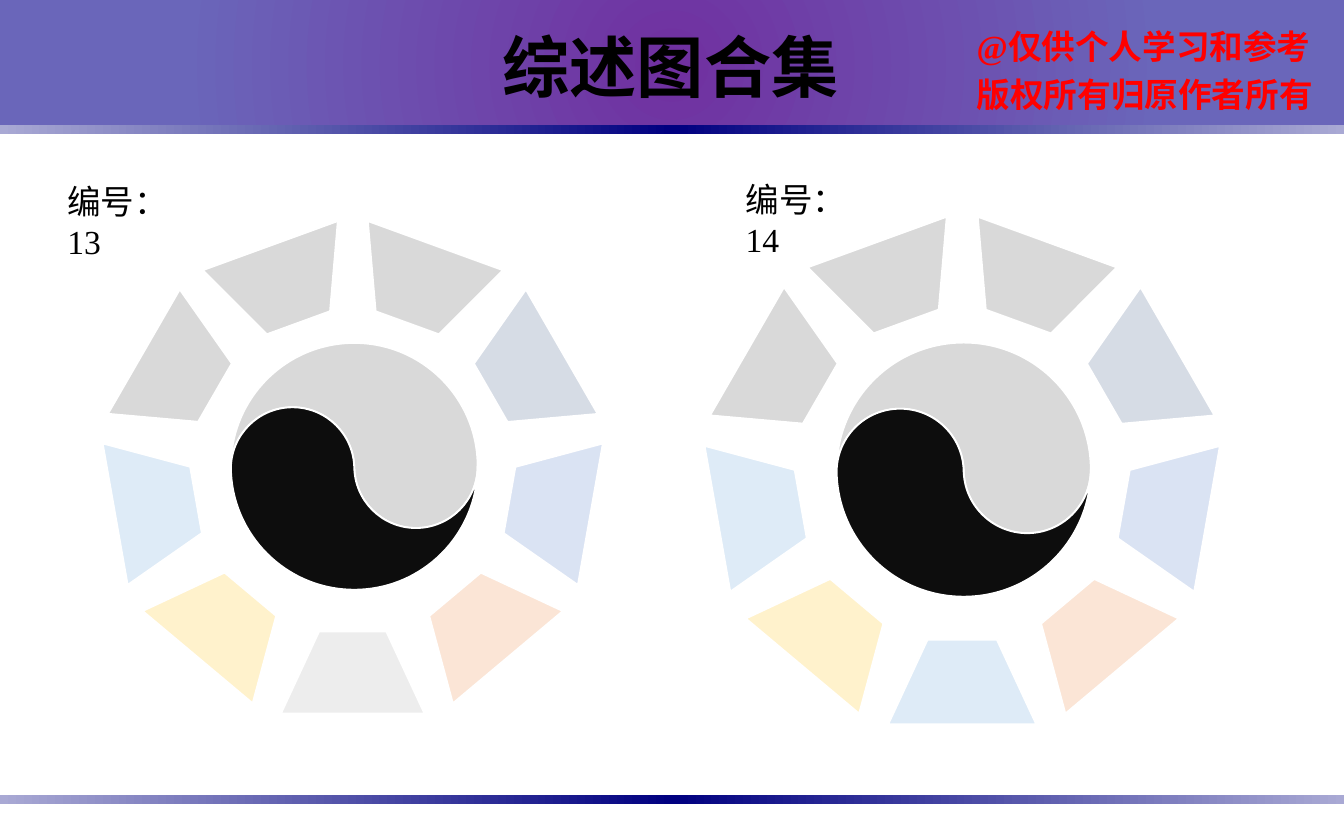
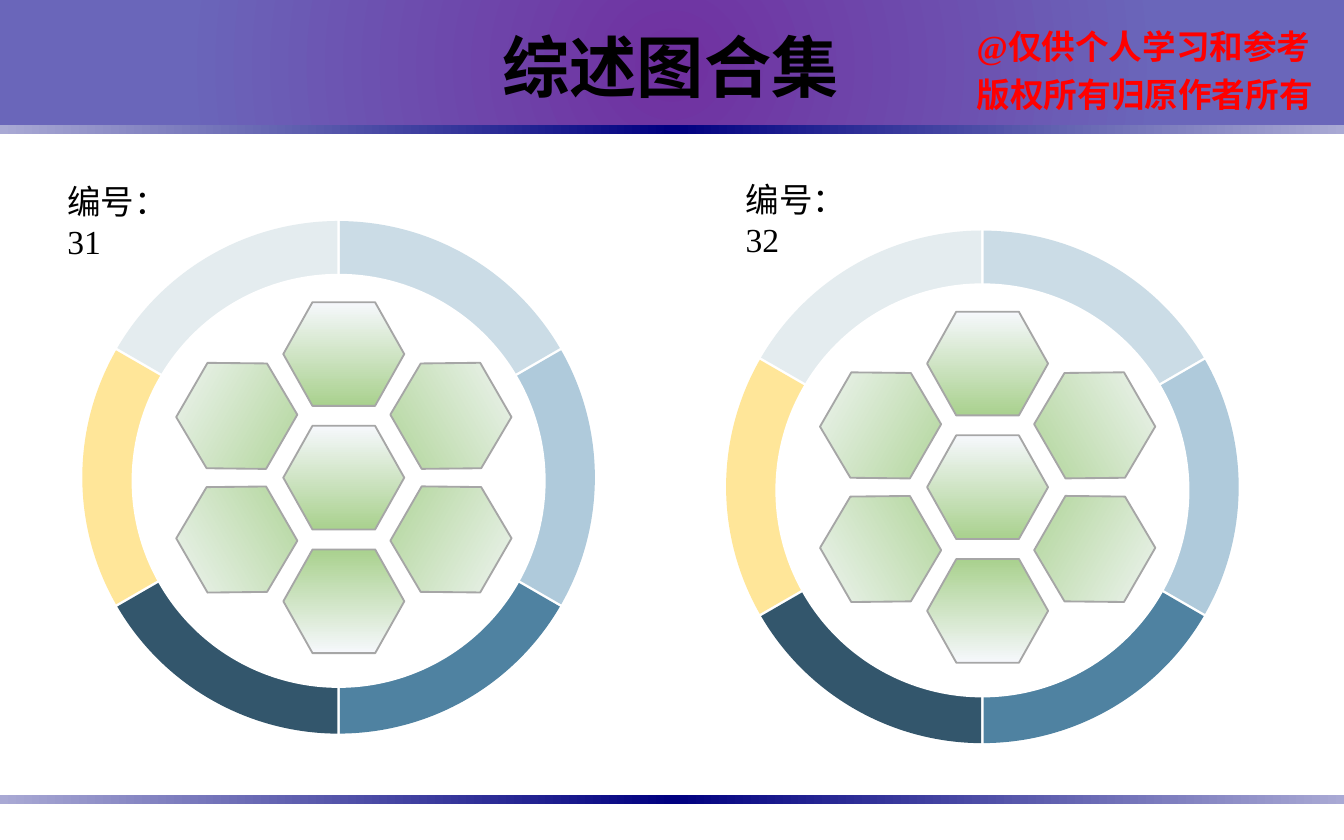
from dataclasses import dataclass
from math import asin, cos, degrees, dist, radians, sin, tan

from pptx import Presentation
from pptx.dml.color import RGBColor
from pptx.enum.shapes import MSO_SHAPE as Shape
from pptx.enum.text import MSO_ANCHOR as Anchor, MSO_AUTO_SIZE as AutoSize, PP_ALIGN as Align
from pptx.oxml import parse_xml
from pptx.oxml.ns import nsdecls, qn
from pptx.util import Pt

Point = tuple[float, float]
Stops = list[tuple[int, str]]

TITLE = "综述图合集"
NOTICE = ("@仅供个人学习和参考", "版权所有归原作者所有")
BLACK, WHITE, RED = "000000", "FFFFFF", "FF0000"
SERIF, SANS = "Times New Roman", "Arial"

HEADER_STOPS = [(0, "7030A0"), (73, "6A66BA")]
STRIP_STOPS = [(0, "A9A9D4"), (50, "000080"), (100, "A9A9D4")]
HEX_STOPS = [(0, "F6F8FC"), (100, "A9D18E")]
LINEAR = '<a:lin ang="{}" scaled="0"/>'
CIRCLE = ('<a:path path="circle"><a:fillToRect l="50000" t="50000" '
          'r="50000" b="50000"/></a:path>')

PETAL_COLOURS = ["FFF2CC", "DEEBF7", "D9D9D9", "D9D9D9", "D9D9D9",
                 "D6DCE5", "DAE3F3", "FBE5D6"]
RING_COLOURS = ["CBDCE6", "AFCADB", "4F82A1", "33566C", "FFE699", "E4ECEF"]


@dataclass
class Label:
    number: int
    left: float
    top: float


@dataclass
class PetalWheel:
    label: Label
    cx: float
    cy: float
    scale: float
    bottom_colour: str


@dataclass
class HexRing:
    label: Label
    cx: float
    cy: float


LEFT_AT, RIGHT_AT = (29, 93.5), (392.4, 92.2)
WHEELS = [PetalWheel(Label(13, *LEFT_AT), 189, 253.05, 1, "EDEDED"),
          PetalWheel(Label(14, *RIGHT_AT), 515.5, 254.8, 1.03, "DEEBF7")]
RINGS = [HexRing(Label(31, *LEFT_AT), 181.4, 255.7),
         HexRing(Label(32, *RIGHT_AT), 526.3, 260.8)]


def rgb(colour: str) -> RGBColor:
    return RGBColor.from_string(colour)


def polar(cx: float, cy: float, radius: float, angle: float) -> Point:
    """Point at an angle in degrees, clockwise from the top."""
    a = radians(angle)
    return cx + radius * sin(a), cy - radius * cos(a)


def arc(cx: float, cy: float, radius: float, start: float, end: float) -> list[Point]:
    """Start point, then two handles and an end point per Bezier piece."""
    low, high = min(start, end), max(start, end)
    cuts = [low, *(a for a in range(-360, 721, 90) if low < a < high), high]
    if end < start:
        cuts.reverse()
    points = [polar(cx, cy, radius, start)]
    for a, b in zip(cuts, cuts[1:]):
        reach = 4 / 3 * tan(radians(b - a) / 4) * radius
        x, y = points[-1]
        end_x, end_y = polar(cx, cy, radius, b)
        a, b = radians(a), radians(b)
        points += [(x + reach * cos(a), y + reach * sin(a)),
                   (end_x - reach * cos(b), end_y - reach * sin(b)),
                   (end_x, end_y)]
    return points


def paint(s, fill: str, line: str | None) -> None:
    s.shadow.inherit = False
    s.fill.solid()
    s.fill.fore_color.rgb = rgb(fill)
    if line:
        s.line.color.rgb = rgb(line)
        s.line.width = Pt(1)
    else:
        s.line.fill.background()


def paint_gradient(s, stops: Stops, direction: str) -> None:
    """Replace the solid fill of a painted shape by a gradient."""
    gs = "".join(f'<a:gs pos="{pos * 1000}"><a:srgbClr val="{c}"/></a:gs>'
                 for pos, c in stops)
    gradient = parse_xml(f'<a:gradFill {nsdecls("a")} rotWithShape="1">'
                         f'<a:gsLst>{gs}</a:gsLst>{direction}</a:gradFill>')
    sp_pr = s._element.spPr
    sp_pr.replace(sp_pr.find(qn("a:solidFill")), gradient)


def add_centred(shapes, kind: Shape, centre: Point, width: float, height: float,
                fill: str, line: str | None = None, rotation: float = 0):
    s = shapes.add_shape(kind, Pt(centre[0] - width / 2), Pt(centre[1] - height / 2),
                         Pt(width), Pt(height))
    s.rotation = rotation
    paint(s, fill, line)
    return s


def add_outline(shapes, arcs: list[list[Point]], fill: str, line: str | None = None):
    """Draw a closed shape from arcs, joined by straight lines where they part."""
    points, curve_starts = [], []
    for piece in arcs:
        if not points or dist(points[-1], piece[0]) > 0.01:
            points.append(piece[0])
        curve_starts += range(len(points), len(points) + len(piece) - 1, 3)
        points += piece[1:]
    corners = [(Pt(x), Pt(y)) for x, y in points]
    builder = shapes.build_freeform(*corners[0])
    builder.add_line_segments(corners[1:], close=True)
    s = builder.convert_to_shape()
    outline = s._element.spPr.find(".//" + qn("a:path"))
    steps = outline.findall(qn("a:lnTo"))
    for first in curve_starts:
        curve, *others = steps[first - 1:first + 2]
        curve.tag = qn("a:cubicBezTo")
        for step in others:
            curve.append(step[0])
            outline.remove(step)
    paint(s, fill, line)
    return s


def add_band(slide, top: float, height: float, stops: Stops, direction: str) -> None:
    s = add_centred(slide.shapes, Shape.RECTANGLE, (360, top + height / 2),
                    720, height, WHITE)
    paint_gradient(s, stops, direction)


def style(p, size: float, font: str, colour: str, bold: bool = False) -> None:
    p.font.size = Pt(size)
    p.font.name = font
    p.font.bold = bold
    p.font.color.rgb = rgb(colour)


def add_notice(slide) -> None:
    s = slide.shapes.add_textbox(Pt(516.2), Pt(5.8), Pt(198.7), Pt(56.9))
    tf = s.text_frame
    tf.word_wrap = False
    tf.text = "\n".join(NOTICE)
    for p in tf.paragraphs:
        p.line_spacing = 1.2
        style(p, 18, SERIF, RED, bold=True)
    tf.paragraphs[1].alignment = Align.CENTER


def add_label(slide, label: Label) -> None:
    s = slide.shapes.add_textbox(Pt(label.left), Pt(label.top), Pt(87), Pt(28.8))
    tf = s.text_frame
    tf.word_wrap = True
    tf.margin_right = Pt(14)
    p = tf.paragraphs[0]
    p.text = f"编号：{label.number}"
    style(p, 18, SERIF, BLACK)


def set_title(slide) -> None:
    s = slide.shapes.title
    s.left, s.top, s.width, s.height = Pt(262), Pt(9.5), Pt(196.6), Pt(51)
    tf = s.text_frame
    tf.word_wrap = False
    tf.auto_size = AutoSize.NONE
    tf.vertical_anchor = Anchor.MIDDLE
    p = tf.paragraphs[0]
    p.text = TITLE
    p.alignment = Align.LEFT
    style(p, 36, SANS, BLACK, bold=True)
    slide.shapes._spTree.append(s._element)  # in front of the header band


def add_yin_yang(shapes, cx: float, cy: float, radius: float) -> None:
    half = radius / 2
    hump = (cx - half, cy + 1.4, half)
    dip = (cx + half, cy, half)
    add_outline(shapes, [arc(cx, cy, radius, -90, 90), arc(*dip, 90, 270),
                         arc(*hump, 90, -90)], "D9D9D9", WHITE)
    add_outline(shapes, [arc(*hump, -90, 90), arc(*dip, 270, 90),
                         arc(cx, cy, radius, 90, 270)], "0D0D0D", WHITE)


def add_petal_wheel(slide, wheel: PetalWheel) -> None:
    shapes = slide.shapes.add_group_shape().shapes
    k = wheel.scale
    colours = [wheel.bottom_colour, *PETAL_COLOURS]
    step = 360 / len(colours)
    for i, colour in enumerate(colours):
        centre = polar(wheel.cx, wheel.cy, 107.3 * k, 180 + i * step)
        s = add_centred(shapes, Shape.TRAPEZOID, centre, 77 * k, 44 * k,
                        colour, WHITE, i * step)
        s.adjustments[0] = 0.465
    add_yin_yang(shapes, wheel.cx + 0.8, wheel.cy - 3.2, 66.1 * k)


def turn_back(s, cx: float, cy: float, angle: float) -> None:
    """Turn a shape counter-clockwise about a point."""
    a = radians(angle)
    dx = s.left + s.width / 2 - Pt(cx)
    dy = s.top + s.height / 2 - Pt(cy)
    s.left = int(Pt(cx) + dx * cos(a) + dy * sin(a) - s.width / 2)
    s.top = int(Pt(cy) - dx * sin(a) + dy * cos(a) - s.height / 2)
    s.rotation = 360 - angle


def add_hex_ring(slide, ring: HexRing) -> None:
    shapes = slide.shapes.add_group_shape().shapes
    cx, cy = ring.cx, ring.cy
    outer, inner, half_gap = 137.3, 17, 0.7
    trim_out, trim_in = (degrees(asin(half_gap / r)) for r in (outer, inner))
    for i, colour in enumerate(RING_COLOURS, start=1):
        start, end = 60 * i, 60 * (i + 1)
        s = add_outline(shapes, [arc(cx, cy, outer, start + trim_out, end - trim_out),
                                 arc(cx, cy, inner, end - trim_in, start + trim_in)],
                        colour)
        turn_back(s, cx, cy, 60)
    add_centred(shapes, Shape.OVAL, (cx, cy + 1.9), 221.8, 221.8, WHITE)

    hub = (cx + 2.8, cy + 0.2)
    cells = [(hub, 0)] + [(polar(*hub, 66.2, a), a) for a in range(0, 360, 60)]
    for centre, rotation in cells:
        s = add_centred(shapes, Shape.HEXAGON, centre, 64.8, 55.6,
                        WHITE, "A6A6A6", rotation)
        s.adjustments[0] = 0.281
        paint_gradient(s, HEX_STOPS, LINEAR.format(5400000))


def add_framed_slide(prs):
    """Add a slide with the header, the notice and both strips."""
    slide = prs.slides.add_slide(prs.slide_layouts[5])
    add_band(slide, -0.7, 71.3, HEADER_STOPS, CIRCLE)
    add_notice(slide)
    for top in (67, 426):
        add_band(slide, top, 5, STRIP_STOPS, LINEAR.format(0))
    set_title(slide)
    return slide


def main() -> None:
    prs = Presentation()
    prs.slide_width, prs.slide_height = Pt(720), Pt(450)
    for figures, draw in ((WHEELS, add_petal_wheel), (RINGS, add_hex_ring)):
        slide = add_framed_slide(prs)
        for figure in figures:
            draw(slide, figure)
        for figure in figures:
            add_label(slide, figure.label)
    prs.save("out.pptx")


if __name__ == "__main__":
    main()
